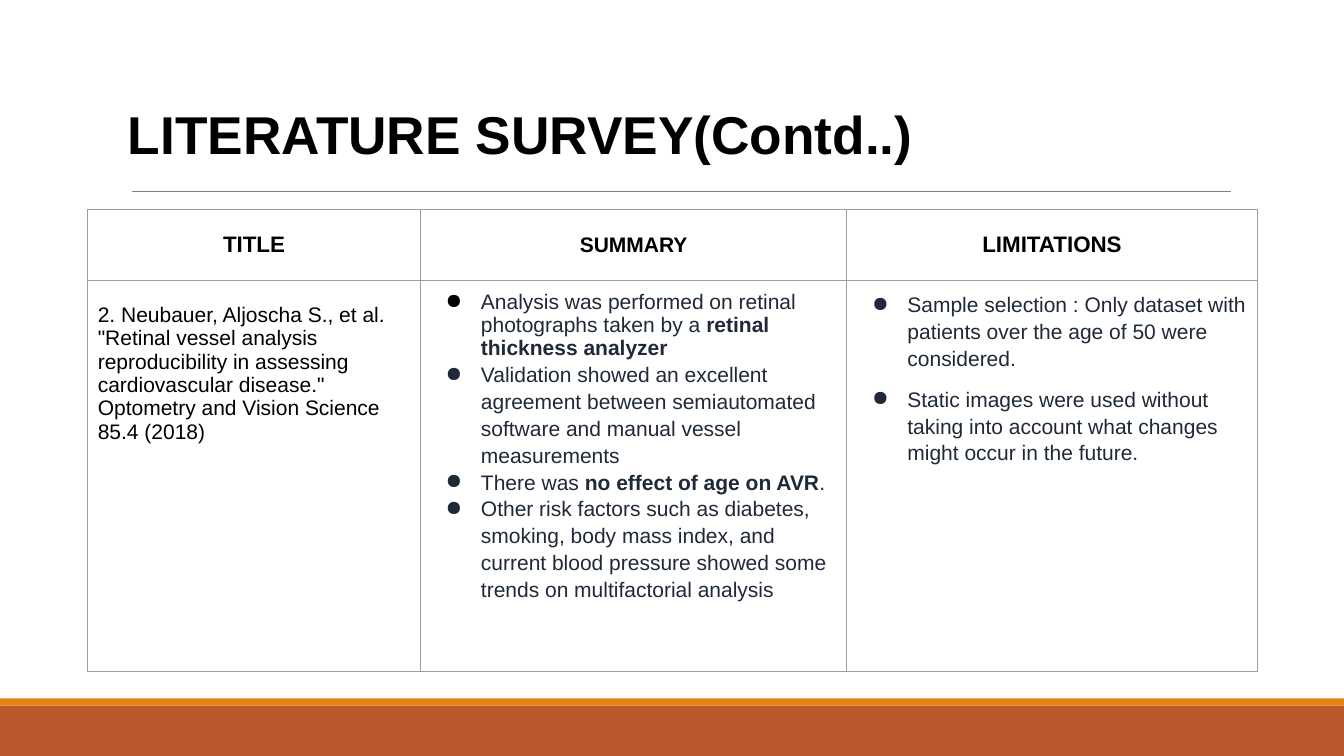
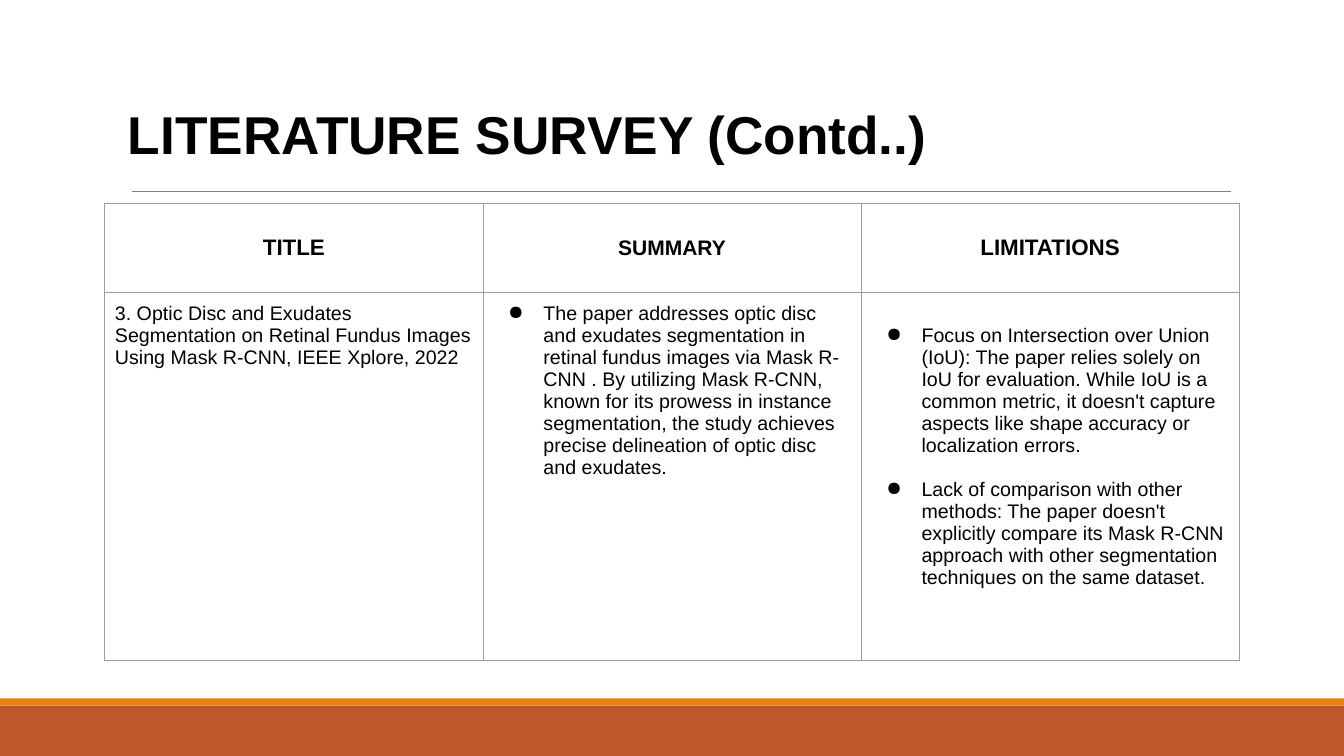
from dataclasses import dataclass

from lxml.etree import SubElement
from pptx import Presentation
from pptx.dml.color import RGBColor
from pptx.enum.shapes import MSO_CONNECTOR, MSO_SHAPE
from pptx.enum.text import MSO_ANCHOR as Anchor, PP_ALIGN as Align
from pptx.oxml import parse_xml
from pptx.oxml.ns import nsdecls, qn
from pptx.util import Inches, Pt

FONT = "Arial"
BLACK = RGBColor(0x00, 0x00, 0x00)
SLATE = RGBColor(0x1F, 0x29, 0x37)
RUST = RGBColor(0xBD, 0x58, 0x2C)
ORANGE = RGBColor(0xE4, 0x83, 0x12)
RULE_GRAY = RGBColor(0x7F, 0x7F, 0x7F)
BORDER_GRAY = RGBColor(0x9E, 0x9E, 0x9E)

SLIDE_WIDTH, SLIDE_HEIGHT = 13.33, 7.5
BANDS = [(7, 0.5, RUST), (6.93, 0.07, ORANGE)]
HEADERS = [("TITLE", 16), ("SUMMARY", 15), ("LIMITATIONS", 16)]
CELL_MARGIN = 0.1


@dataclass
class Entry:
    text: str
    size: float = 15
    color: RGBColor = BLACK
    bullet: RGBColor | None = None
    line_spacing: float = 1.0
    space_before: float = 0


@dataclass
class Column:
    entries: list
    top_margin: float = CELL_MARGIN


def set_font(paragraph, size, color, bold=False):
    font = paragraph.font
    font.name, font.size, font.bold = FONT, Pt(size), bold
    font.color.rgb = color


def add_bullet(paragraph, color):
    properties = paragraph._p.get_or_add_pPr()
    properties.set("marL", str(Inches(0.5)))
    properties.set("indent", str(Inches(-0.35)))
    bullet_color = SubElement(properties, qn("a:buClr"))
    SubElement(bullet_color, qn("a:srgbClr"), val=str(color))
    SubElement(properties, qn("a:buChar"), char="●")


def add_borders(cell):
    properties = cell._tc.get_or_add_tcPr()
    for position, side in enumerate(("lnL", "lnR", "lnT", "lnB")):
        properties.insert(position, parse_xml(
            f'<a:{side} {nsdecls("a")} w="{Pt(0.75)}"><a:solidFill>'
            f'<a:srgbClr val="{BORDER_GRAY}"/></a:solidFill></a:{side}>'))


def style_cell(cell, anchor, top_margin=CELL_MARGIN):
    cell.fill.background()
    add_borders(cell)
    cell.vertical_anchor = anchor
    cell.margin_left = cell.margin_right = cell.margin_bottom = Inches(CELL_MARGIN)
    cell.margin_top = Inches(top_margin)


def fill_header(cell, text, size):
    style_cell(cell, Anchor.MIDDLE)
    paragraph = cell.text_frame.paragraphs[0]
    paragraph.text = text
    paragraph.alignment = Align.CENTER
    set_font(paragraph, size, BLACK, bold=True)


def fill_entries(cell, column):
    style_cell(cell, Anchor.TOP, column.top_margin)
    frame = cell.text_frame
    for index, entry in enumerate(column.entries):
        paragraph = frame.add_paragraph() if index else frame.paragraphs[0]
        if entry.bullet is not None:
            add_bullet(paragraph, entry.bullet)
        paragraph.line_spacing = entry.line_spacing
        if entry.space_before:
            paragraph.space_before = Pt(entry.space_before)
        set_font(paragraph, entry.size, entry.color)
        for part, text in enumerate(entry.text.split("**")):
            run = paragraph.add_run()
            run.text = text
            if part % 2:
                run.font.bold = True


def add_survey_table(slide, left, top, widths, heights, columns):
    frame = slide.shapes.add_table(
        2, len(widths), Inches(left), Inches(top),
        Inches(sum(widths)), Inches(sum(heights)))
    table = frame.table
    table.first_row = table.horz_banding = False
    for row, height in zip(table.rows, heights):
        row.height = Inches(height)
    for index, (width, header, column) in enumerate(zip(widths, HEADERS, columns)):
        table.columns[index].width = Inches(width)
        fill_header(table.cell(0, index), *header)
        fill_entries(table.cell(1, index), column)


def add_bands(slide):
    for top, height, color in BANDS:
        band = slide.shapes.add_shape(
            MSO_SHAPE.RECTANGLE, 0, Inches(top), Inches(SLIDE_WIDTH), Inches(height))
        band.shadow.inherit = False
        band.fill.solid()
        band.fill.fore_color.rgb = color
        band.line.fill.background()


def add_title(slide, text, left=1.17, top=0.65, width=11, height=1.04):
    box = slide.shapes.add_textbox(
        Inches(left), Inches(top), Inches(width), Inches(height))
    frame = box.text_frame
    frame.word_wrap = True
    frame.vertical_anchor = Anchor.BOTTOM
    paragraph = frame.paragraphs[0]
    paragraph.text = text
    paragraph.line_spacing = 0.85
    set_font(paragraph, 38, BLACK, bold=True)

    rule_y = Inches(top + height + 0.21)
    rule = slide.shapes.add_connector(
        MSO_CONNECTOR.STRAIGHT, Inches(left + 0.14), rule_y,
        Inches(left + width + 0.04), rule_y)
    rule.line.color.rgb = RULE_GRAY
    rule.line.width = Pt(0.75)
    SubElement(rule._element.spPr, qn("a:effectLst"))


def add_survey_slide(presentation, title, **table):
    slide = presentation.slides.add_slide(presentation.slide_layouts[6])
    add_bands(slide)
    add_title(slide, title)
    add_survey_table(slide, **table)


def slate_bullet(text, space_before=0):
    return Entry(text, color=SLATE, bullet=SLATE, line_spacing=1.15,
                 space_before=space_before)


def black_bullet(text, space_before=0):
    return Entry(text, size=14, bullet=BLACK, space_before=space_before)


VESSEL_COLUMNS = [
    Column([Entry(
        '2. Neubauer, Aljoscha S., et al. "Retinal vessel analysis reproducibility '
        'in assessing cardiovascular disease." Optometry and Vision Science 85.4 (2018)')],
        top_margin=0.23),
    Column([
        Entry("Analysis was performed on retinal photographs taken by a "
              "**retinal thickness analyzer**", color=SLATE, bullet=BLACK),
        slate_bullet("Validation showed an excellent agreement between semiautomated "
                     "software and manual vessel measurements"),
        slate_bullet("There was **no effect of age on AVR**."),
        slate_bullet("Other risk factors such as diabetes, smoking, body mass index, and "
                     "current blood pressure showed some trends on multifactorial analysis"),
    ]),
    Column([
        slate_bullet("Sample selection : Only dataset with patients over the age of 50 "
                     "were considered."),
        slate_bullet("Static images were used without taking into account what changes "
                     "might occur in the future.", space_before=10),
    ]),
]

SEGMENTATION_COLUMNS = [
    Column([Entry("3. Optic Disc and Exudates Segmentation on Retinal Fundus Images "
                  "Using Mask R-CNN, IEEE Xplore, 2022", size=14)]),
    Column([black_bullet(
        "The paper addresses optic disc and exudates segmentation in retinal fundus "
        "images via Mask R-CNN . By utilizing Mask R-CNN, known for its prowess in "
        "instance segmentation, the study achieves precise delineation of optic disc "
        "and exudates.")]),
    Column([
        black_bullet("Focus on Intersection over Union (IoU): The paper relies solely on "
                     "IoU for evaluation. While IoU is a common metric, it doesn't capture "
                     "aspects like shape accuracy or localization errors."),
        black_bullet("Lack of comparison with other methods: The paper doesn't explicitly "
                     "compare its Mask R-CNN approach with other segmentation techniques "
                     "on the same dataset.", space_before=16),
    ], top_margin=0.32),
]


def main():
    presentation = Presentation()
    presentation.slide_width = Inches(SLIDE_WIDTH)
    presentation.slide_height = Inches(SLIDE_HEIGHT)
    add_survey_slide(
        presentation, "LITERATURE SURVEY(Contd..)", left=0.87, top=2.08,
        widths=[3.3, 4.23, 4.07], heights=[0.7, 3.88], columns=VESSEL_COLUMNS)
    add_survey_slide(
        presentation, "LITERATURE SURVEY (Contd..)", left=1.04, top=2.02,
        widths=[3.75] * 3, heights=[0.88, 3.65], columns=SEGMENTATION_COLUMNS)
    presentation.save("out.pptx")


if __name__ == "__main__":
    main()
